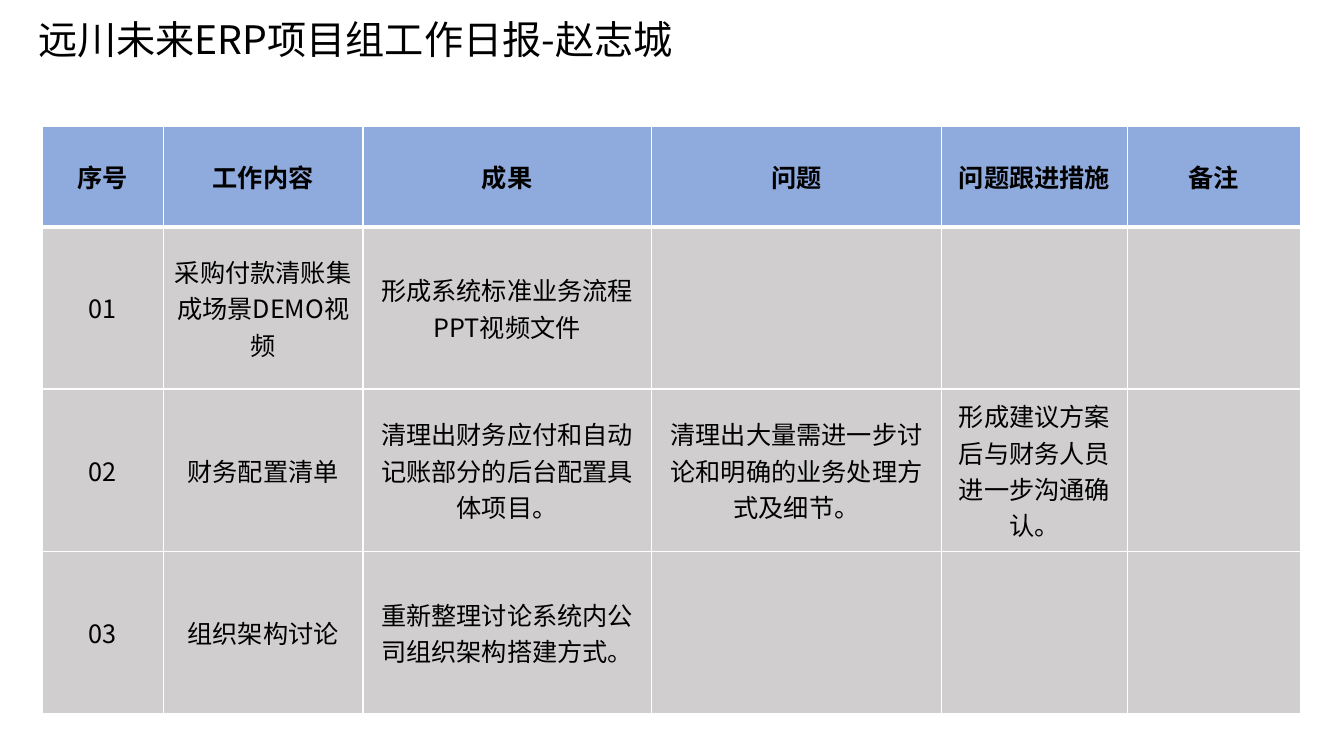
from dataclasses import dataclass

from lxml import etree
from pptx import Presentation
from pptx.dml.color import RGBColor
from pptx.enum.text import MSO_ANCHOR, MSO_AUTO_SIZE, PP_ALIGN
from pptx.oxml.ns import qn
from pptx.util import Inches, Pt

CENTER = PP_ALIGN.CENTER
MIDDLE = MSO_ANCHOR.MIDDLE
GROW = MSO_AUTO_SIZE.SHAPE_TO_FIT_TEXT


@dataclass(frozen=True)
class Theme:
    """Colours, font and type sizes of the slide."""
    font: str = "Noto Sans CJK SC"
    text: str = "000000"
    header: str = "8FAADC"
    body: str = "D0CECE"
    border: str = "FFFFFF"
    title_size: int = 28
    table_size: int = 18
    thin: int = 1
    thick: int = 3


THEME = Theme()
TITLE = "远川未来ERP项目组工作日报-赵志城"
COLUMN_WIDTHS = (1.2, 1.98, 2.86, 2.88, 1.84, 1.72)
ROW_HEIGHTS = (1, 1.61, 1.61, 1.61)
REPORT = (
    ("序号", "工作内容", "成果", "问题", "问题跟进措施", "备注"),
    ("01", "采购付款清账集成场景DEMO视频", "形成系统标准业务流程PPT视频文件", "", "", ""),
    ("02", "财务配置清单", "清理出财务应付和自动记账部分的后台配置具体项目。",
     "清理出大量需进一步讨论和明确的业务处理方式及细节。",
     "形成建议方案后与财务人员进一步沟通确认。", ""),
    ("03", "组织架构讨论", "重新整理讨论系统内公司组织架构搭建方式。", "", "", ""),
)


def add_run(paragraph, text, size, bold=False):
    """Add one run in the theme font, for Latin and East Asian text."""
    run = paragraph.add_run()
    run.text = text
    run.font.name = THEME.font
    run.font.size = Pt(size)
    run.font.bold = bold
    run.font.color.rgb = RGBColor.from_string(THEME.text)
    properties = run.font._element
    east_asian = etree.Element(qn("a:ea"), typeface=THEME.font)
    properties.find(qn("a:latin")).addnext(east_asian)


def add_title(slide, text):
    """Add the report title."""
    box = slide.shapes.add_textbox(Inches(0.28), Inches(0.18), Inches(6.58), Inches(0.57))
    frame = box.text_frame
    frame.word_wrap = True
    frame.auto_size = GROW
    paragraph = frame.paragraphs[0]
    paragraph.line_spacing = 0.83
    add_run(paragraph, text, THEME.title_size)


def set_borders(cell, bottom, top):
    """Draw the four border lines of a cell."""
    properties = cell._tc.get_or_add_tcPr()
    widths = {"lnL": THEME.thin, "lnR": THEME.thin, "lnT": top, "lnB": bottom}
    for position, (side, width) in enumerate(widths.items()):
        line = etree.Element(qn(f"a:{side}"), w=str(Pt(width)))
        fill = etree.SubElement(line, qn("a:solidFill"))
        etree.SubElement(fill, qn("a:srgbClr"), val=THEME.border)
        properties.insert(position, line)


def fill_cell(cell, text, row):
    """Style one table cell and write its text."""
    is_header = row == 0
    cell.fill.solid()
    cell.fill.fore_color.rgb = RGBColor.from_string(THEME.header if is_header else THEME.body)
    set_borders(cell,
                bottom=THEME.thick if is_header else THEME.thin,
                top=THEME.thick if row == 1 else THEME.thin)
    cell.vertical_anchor = MIDDLE
    paragraph = cell.text_frame.paragraphs[0]
    paragraph.alignment = CENTER
    if text:
        add_run(paragraph, text, THEME.table_size, bold=is_header)


def add_report_table(slide, rows):
    """Add the daily report table."""
    frame = slide.shapes.add_table(
        len(rows), len(COLUMN_WIDTHS), Inches(0.42), Inches(1.25),
        Inches(sum(COLUMN_WIDTHS)), Inches(sum(ROW_HEIGHTS)))
    table = frame.table
    for column, width in zip(table.columns, COLUMN_WIDTHS):
        column.width = Inches(width)
    for row, height in zip(table.rows, ROW_HEIGHTS):
        row.height = Inches(height)
    for row, texts in enumerate(rows):
        for column, text in enumerate(texts):
            fill_cell(table.cell(row, column), text, row)


def main():
    """Build and save the slide."""
    presentation = Presentation()
    presentation.slide_width = Inches(13.33)
    presentation.slide_height = Inches(7.5)
    slide = presentation.slides.add_slide(presentation.slide_layouts[6])
    add_title(slide, TITLE)
    add_report_table(slide, REPORT)
    presentation.save("out.pptx")


if __name__ == "__main__":
    main()
